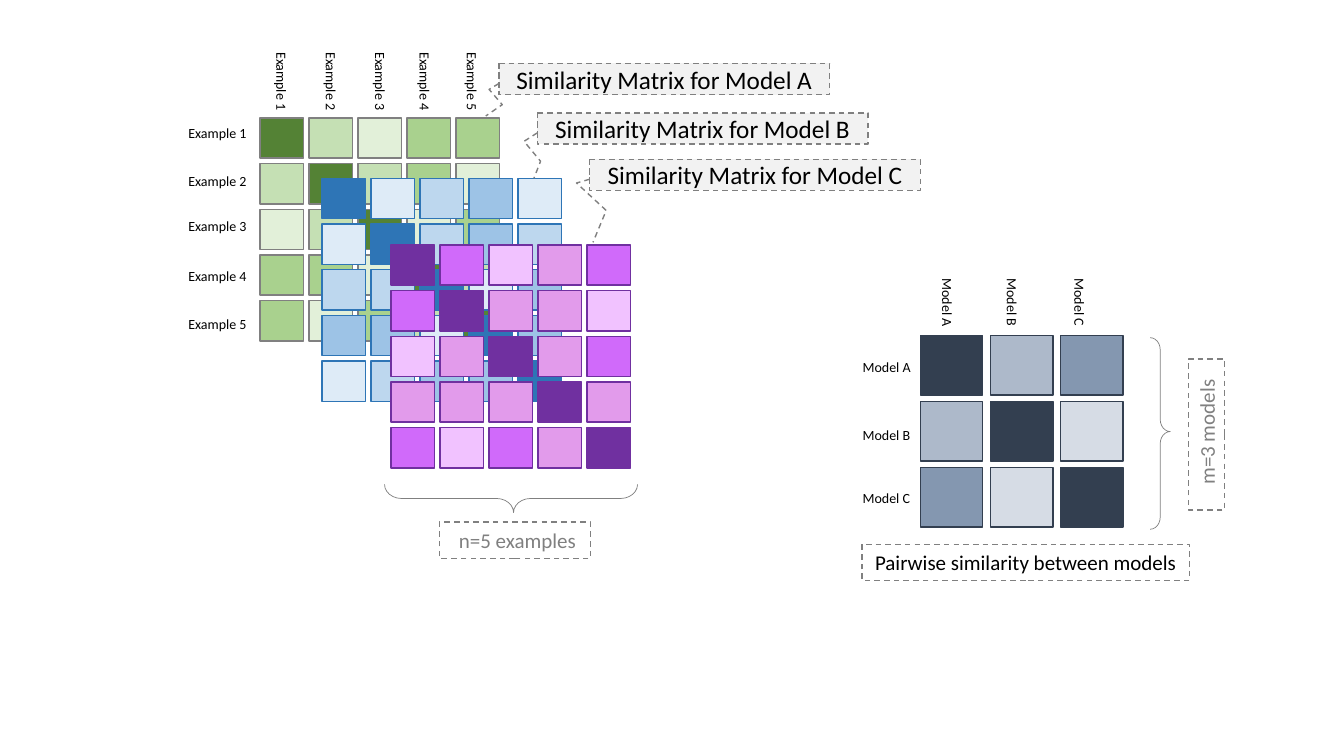
from pptx import Presentation
from pptx.dml.color import RGBColor
from pptx.enum.dml import MSO_LINE
from pptx.enum.shapes import MSO_SHAPE
from pptx.enum.text import MSO_ANCHOR, MSO_AUTO_SIZE, PP_ALIGN
from pptx.util import Inches, Pt

UNIT = Inches(0.1)
WIDE, HIGH = 133.33, 75
FONT = "Calibri"

BLACK = RGBColor(0x00, 0x00, 0x00)
GRAY = RGBColor(0x80, 0x80, 0x80)
PALE = RGBColor(0xF2, 0xF2, 0xF2)
GREENS = (RGBColor(0x54, 0x82, 0x35), RGBColor(0xA9, 0xD1, 0x8E),
          RGBColor(0xC5, 0xE0, 0xB4), RGBColor(0xE2, 0xF0, 0xD9))
BLUES = (RGBColor(0x2E, 0x75, 0xB6), RGBColor(0x9D, 0xC3, 0xE6),
         RGBColor(0xBD, 0xD7, 0xEE), RGBColor(0xDE, 0xEB, 0xF7))
PURPLES = (RGBColor(0x70, 0x30, 0xA0), RGBColor(0xD0, 0x6A, 0xFA),
           RGBColor(0xE2, 0x9B, 0xEB), RGBColor(0xF1, 0xC2, 0xFF))
SLATES = (RGBColor(0x33, 0x3F, 0x50), RGBColor(0x84, 0x97, 0xB0),
          RGBColor(0xAD, 0xB9, 0xCA), RGBColor(0xD6, 0xDC, 0xE5))

SMALL = (4.3, 4.0, 4.86, 4.53)
LARGE = (6.2, 5.9, 6.95, 6.55)

GREEN_MAP = ("02311", "20213", "32031", "11302", "13120")
BLUE_MAP = ("03213", "30212", "22031", "11301", "32110")
PURPLE_MAP = ("01321", "10223", "32021", "22202", "13120")
MODEL_MAP = ("021", "203", "130")

CASES = [f"Example {n}" for n in range(1, 6)]
MODELS = [f"Model {c}" for c in "ABC"]


def span(*cells):
    return [round(cell * UNIT) for cell in cells]


def write(frame, text, size, color):
    run = frame.paragraphs[0].add_run()
    run.text = text
    run.font.name = FONT
    run.font.size = Pt(size)
    run.font.color.rgb = color


def draw(shapes, kind, box, fill=None, line=GRAY, weight=1, turn=0, bends=()):
    shape = shapes.add_shape(kind, *span(*box))
    shape.shadow.inherit = False
    shape.rotation = turn
    if fill is None:
        shape.fill.background()
    else:
        shape.fill.solid()
        shape.fill.fore_color.rgb = fill
    shape.line.color.rgb = line
    shape.line.width = Pt(weight)
    for index, bend in enumerate(bends):
        shape.adjustments[index] = bend
    return shape


def matrix(shapes, left, top, size, codes, tones, edge):
    group = shapes.add_group_shape().shapes
    wide, high, across, down = size
    for row, line in enumerate(codes):
        for col, code in enumerate(line):
            box = left + col * across, top + row * down, wide, high
            draw(group, MSO_SHAPE.RECTANGLE, box, tones[int(code)], edge)


def labels(shapes, names, spots, wide, turn=0):
    group = shapes.add_group_shape().shapes
    for name, (left, top) in zip(names, spots):
        label = group.add_textbox(*span(left, top, wide, 2.7))
        label.rotation = turn
        frame = label.text_frame
        frame.word_wrap = False
        frame.auto_size = MSO_AUTO_SIZE.SHAPE_TO_FIT_TEXT
        write(frame, name, 10, BLACK)


def note(shapes, text, box, size=15, color=BLACK, fill=None,
         kind=MSO_SHAPE.RECTANGLE, turn=0, bends=()):
    shape = draw(shapes, kind, box, fill, turn=turn, bends=bends)
    shape.line.dash_style = MSO_LINE.DASH
    frame = shape.text_frame
    frame.word_wrap = True
    frame.vertical_anchor = MSO_ANCHOR.MIDDLE
    frame.paragraphs[0].alignment = PP_ALIGN.CENTER
    write(frame, text, size, color)


def callout(shapes, model, left, top, bends):
    note(shapes, f"Similarity Matrix for {model}", (left, top, 32.8, 3.1),
         18, fill=PALE, bends=(0.64, 0, *bends),
         kind=MSO_SHAPE.LINE_CALLOUT_3_BORDER_AND_ACCENT_BAR)


def brace(shapes, box, turn):
    draw(shapes, MSO_SHAPE.LEFT_BRACE, box, weight=0.5, turn=turn,
         bends=(0.6, 0.51))


def main():
    deck = Presentation()
    deck.slide_width, deck.slide_height = span(WIDE, HIGH)
    shapes = deck.slides.add_slide(deck.slide_layouts[6]).shapes

    matrix(shapes, 25.8, 11.7, SMALL, GREEN_MAP, GREENS, GRAY)
    matrix(shapes, 31.95, 17.7, SMALL, BLUE_MAP, BLUES, BLUES[0])

    callout(shapes, "Model C", 58.5, 15.8, (0.76, -0.04, 1.64, 0.05, 2.66, 0.01))
    callout(shapes, "Model B", 53.3, 11.2, (0.91, -0.04, 1.55, 0.01, 2.09, -0.01))
    callout(shapes, "Model A", 49.5, 6.3, (0.83, -0.03, 1.32, 0.01, 1.68, -0.04))

    heads = [(left, 6.8) for left in (24, 28.9, 33.8, 38.2, 42.9)]
    sides = [(17.7, top) for top in (11.9, 16.6, 21.1, 26, 30.8)]
    labels(shapes, CASES, heads, 7.9, 90)
    labels(shapes, CASES, sides, 7.9)

    matrix(shapes, 91.3, 33.3, LARGE, MODEL_MAP, SLATES, SLATES[0])
    heads = [(left, 28.7) for left in (90.6, 97, 103.7)]
    sides = [(84.6, top) for top in (35.1, 41.8, 48.1)]
    labels(shapes, MODELS, sides, 6.8)
    labels(shapes, MODELS, heads, 6.8, 90)
    note(shapes, "Pairwise similarity between models", (85.5, 54, 32.5, 3.6))

    matrix(shapes, 38.8, 24.3, SMALL, PURPLE_MAP, PURPLES, PURPLES[0])
    brace(shapes, (49.3, 36.9, 2.8, 25.1), 270)
    note(shapes, " n=5 examples", (43.6, 51.8, 15, 3.6), color=GRAY)
    brace(shapes, (114.1, 33.5, 2, 19), 180)
    note(shapes, " m=3 models", (112.2, 41.3, 15, 3.6), color=GRAY, turn=270)

    deck.save("out.pptx")


if __name__ == "__main__":
    main()
